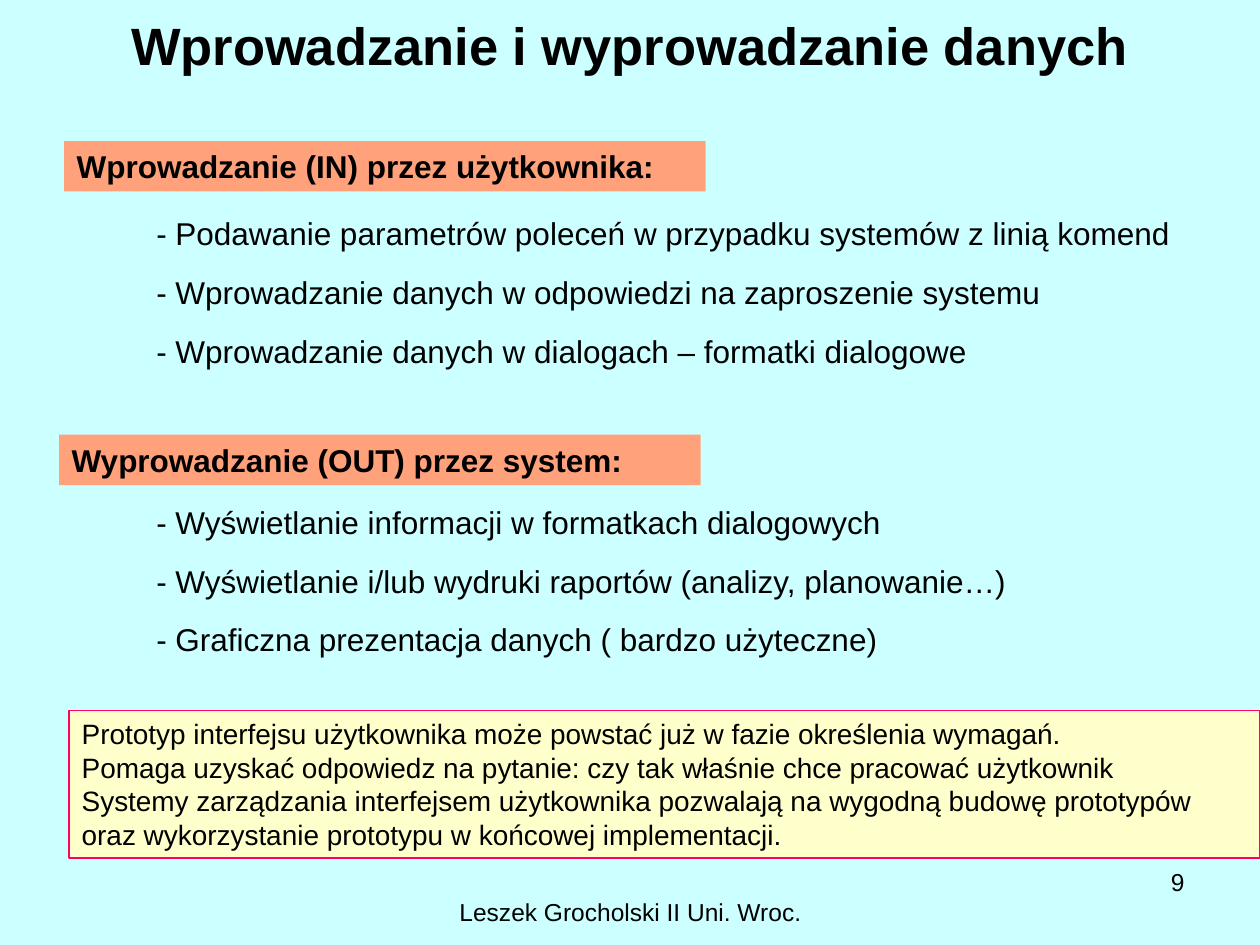
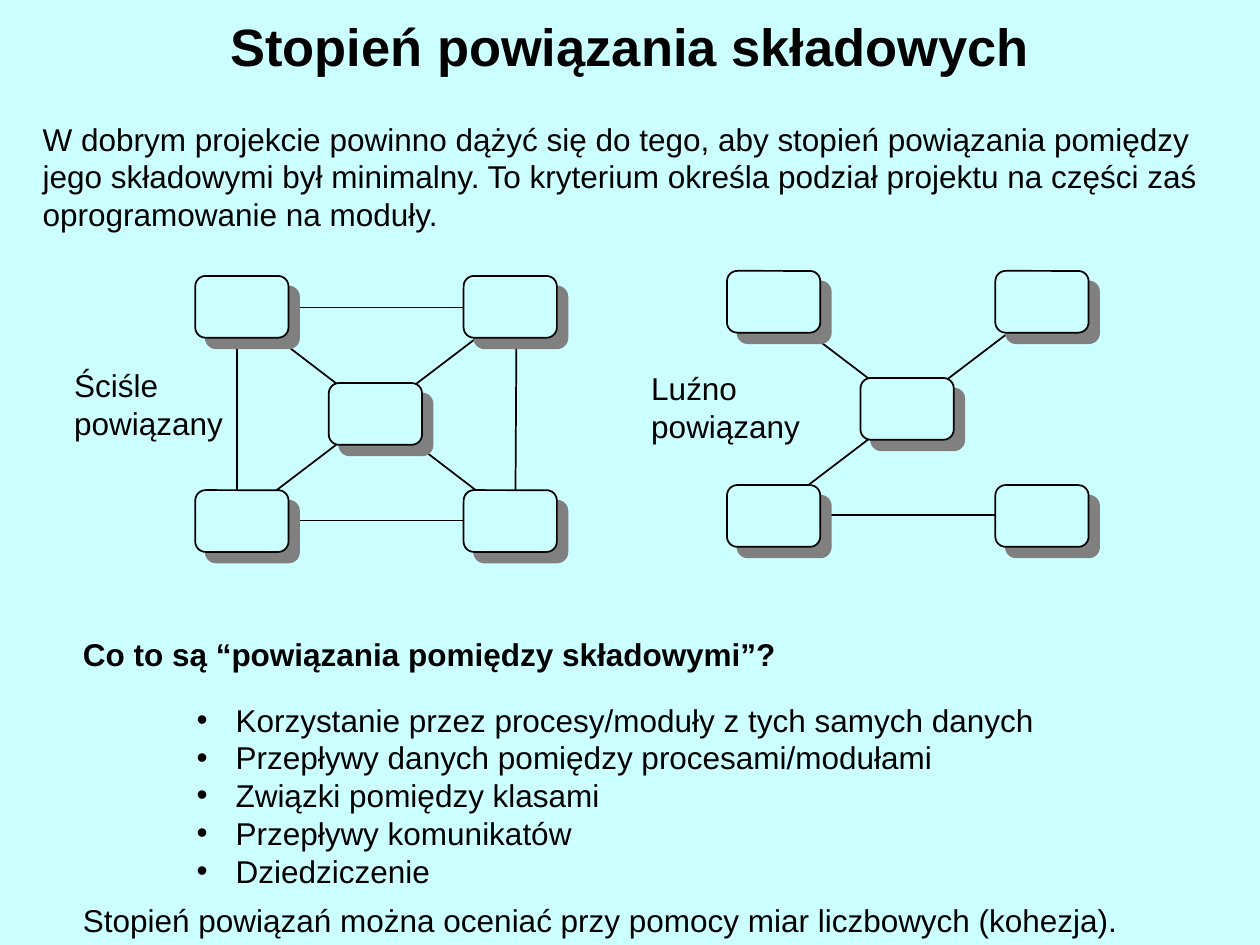
from lxml import etree
from pptx import Presentation
from pptx.dml.color import RGBColor
from pptx.enum.shapes import MSO_CONNECTOR, MSO_SHAPE
from pptx.enum.text import MSO_ANCHOR, MSO_AUTO_SIZE, PP_ALIGN
from pptx.oxml.ns import qn
from pptx.util import Emu, Pt

# Shared look
PX = 9144  # 100 px to the inch
FONT = "Arial"
INK, PAPER = "000000", "CCFFFF"
SALMON, CREAM, PINK, GREY = "FFA27C", "FFFFCC", "FF0066", "808080"

# Node corners and line ends, relative to a network's box
NODE = (74, 49)
SPOTS = [(106, 85), (0, 0), (213, 170), (0, 170), (213, 0)]
DOTS = {"nw": (33, 25), "ne": (255, 25), "mid": (146, 111),
        "sw": (33, 194), "se": (254, 194)}
TIGHT = ["nw se", "ne sw", "nw sw", "sw se", "nw ne", "ne se"]
LOOSE = ["nw mid", "ne sw", "sw se"]


def px(*nums):
    return [Emu(n * PX) for n in nums]


def color(hue):
    return RGBColor.from_string(hue)


def place(shape, box):
    shape.left, shape.top, shape.width, shape.height = px(*box)


def write(shape, lines, size=18, bold=False, align=PP_ALIGN.LEFT, gap=0, wrap=True):
    frame = shape.text_frame
    frame.text = "\n".join(lines)
    frame.word_wrap = wrap
    frame.auto_size = MSO_AUTO_SIZE.NONE
    frame.vertical_anchor = MSO_ANCHOR.TOP
    for i, para in enumerate(frame.paragraphs):
        font = para.font
        font.name, font.size, font.bold = FONT, Pt(size), bold
        font.color.rgb = color(INK)
        para.alignment = align
        para.line_spacing = Pt(size * 1.2)
        para.space_before = Pt(gap if i else 0)
        para.space_after = Pt(0)


def label(slide, box, lines, **style):
    write(slide.shapes.add_textbox(*px(*box)), lines, **style)


def panel(slide, box, lines, fill, edge=None, **style):
    shape = slide.shapes.add_shape(MSO_SHAPE.RECTANGLE, *px(*box))
    shape.shadow.inherit = False
    shape.fill.solid()
    shape.fill.fore_color.rgb = color(fill)
    if edge:
        shape.line.color.rgb = color(edge)
        shape.line.width = Pt(1)
    else:
        shape.line.fill.background()
    write(shape, lines, **style)


def title(slide, box, text):
    shape = slide.shapes.title
    place(shape, box)
    write(shape, [text], size=30, bold=True, align=PP_ALIGN.CENTER)
    shape.text_frame.vertical_anchor = MSO_ANCHOR.MIDDLE
    shape.text_frame.paragraphs[0].line_spacing = 1.0


def items(shape, box, lines, mark=None, indent=0, gap=0):
    place(shape, box)
    write(shape, lines, gap=gap)
    for para in shape.text_frame.paragraphs:
        props = para._p.get_or_add_pPr()
        props.set("marL", str(indent * PX))
        props.set("indent", str(-indent * PX))
        if mark:
            etree.SubElement(props, qn("a:buFont"), typeface=FONT)
            etree.SubElement(props, qn("a:buChar"), char=mark)
        else:
            etree.SubElement(props, qn("a:buNone"))
        # Run defaults come last in paragraph properties
        props.append(props.find(qn("a:defRPr")))


def footer(slide, number):
    label(slide, (342, 707, 317, 36), ["Leszek Grocholski II Uni. Wroc."],
          size=14, align=PP_ALIGN.CENTER)
    label(slide, (717, 683, 233, 52), [number], size=14, align=PP_ALIGN.RIGHT)


def link(slide, start, end):
    line = slide.shapes.add_connector(MSO_CONNECTOR.STRAIGHT, *px(*start, *end))
    line.line.color.rgb = color(INK)
    line.line.width = Pt(1)
    etree.SubElement(line._element.spPr, qn("a:effectLst"))


def node(slide, x, y):
    shape = slide.shapes.add_shape(MSO_SHAPE.ROUNDED_RECTANGLE, *px(x, y, *NODE))
    shape.fill.solid()
    shape.fill.fore_color.rgb = color(PAPER)
    shape.line.color.rgb = color(INK)
    shape.line.width = Pt(1)
    # Hard grey shadow, down and to the right
    effects = etree.SubElement(shape._element.spPr, qn("a:effectLst"))
    cast = etree.SubElement(effects, qn("a:outerShdw"), blurRad="0", dist=str(Pt(8.5)),
                            dir="2700000", algn="ctr", rotWithShape="0")
    etree.SubElement(cast, qn("a:srgbClr"), val=GREY)


def network(slide, left, top, pairs):
    for pair in pairs:
        ends = [(left + DOTS[key][0], top + DOTS[key][1]) for key in pair.split()]
        link(slide, *ends)
    for x, y in SPOTS:
        node(slide, left + x, top + y)


def data_slide(deck):
    slide = deck.slides.add_slide(deck.slide_layouts[3])
    title(slide, (50, 0, 900, 71), "Wprowadzanie i wyprowadzanie danych")
    # Input by the user
    panel(slide, (51, 112, 509, 40), ["Wprowadzanie (IN) przez użytkownika:"],
          SALMON, bold=True)
    items(slide.placeholders[1], (114, 165, 859, 134), [
        "- Podawanie parametrów poleceń w przypadku systemów z linią komend",
        "- Wprowadzanie danych w odpowiedzi na zaproszenie systemu",
        "- Wprowadzanie danych w dialogach – formatki dialogowe"], gap=12)
    # Output by the system
    panel(slide, (47, 345, 509, 40), ["Wyprowadzanie (OUT) przez system:"],
          SALMON, bold=True)
    items(slide.placeholders[2], (114, 394, 741, 134), [
        "- Wyświetlanie informacji w formatkach dialogowych",
        "- Wyświetlanie i/lub wydruki raportów (analizy, planowanie…)",
        "- Graficzna prezentacja danych ( bardzo użyteczne)"], gap=12)
    # Note on prototypes
    panel(slide, (55, 564, 945, 117), [
        "Prototyp interfejsu użytkownika może powstać już w fazie określenia wymagań.",
        "Pomaga uzyskać odpowiedz na pytanie: czy tak właśnie chce pracować użytkownik",
        "Systemy zarządzania interfejsem użytkownika pozwalają na wygodną budowę "
        "prototypów oraz wykorzystanie prototypu w końcowej implementacji."],
        CREAM, edge=PINK, size=16)
    footer(slide, "9")


def links_slide(deck):
    slide = deck.slides.add_slide(deck.slide_layouts[1])
    title(slide, (50, 13, 900, 47), "Stopień powiązania składowych")
    label(slide, (24, 90, 953, 100), [
        "W dobrym projekcie powinno dążyć się do tego, aby stopień powiązania pomiędzy "
        "jego składowymi był minimalny. To kryterium określa podział projektu na części "
        "zaś oprogramowanie na moduły."])
    # Tight and loose networks
    network(slide, 155, 219, TIGHT)
    label(slide, (49, 286, 138, 70), ["Ściśle", "powiązany"], wrap=False)
    network(slide, 577, 215, LOOSE)
    label(slide, (507, 288, 138, 70), ["Luźno", "powiązany"], wrap=False)
    # What the links are
    label(slide, (56, 499, 798, 40), ["Co to są “powiązania pomiędzy składowymi”?"],
          bold=True)
    items(slide.placeholders[1], (146, 551, 692, 160), [
        "Korzystanie przez procesy/moduły z tych samych danych",
        "Przepływy danych pomiędzy procesami/modułami",
        "Związki pomiędzy klasami",
        "Przepływy komunikatów",
        "Dziedziczenie"], mark="•", indent=31)
    label(slide, (56, 710, 932, 40),
          ["Stopień powiązań można oceniać przy pomocy miar liczbowych (kohezja)."])


def main():
    deck = Presentation()
    deck.slide_width, deck.slide_height = px(1000, 750)
    back = deck.slide_master.background.fill
    back.solid()
    back.fore_color.rgb = color(PAPER)
    data_slide(deck)
    links_slide(deck)
    deck.save("out.pptx")


if __name__ == "__main__":
    main()
